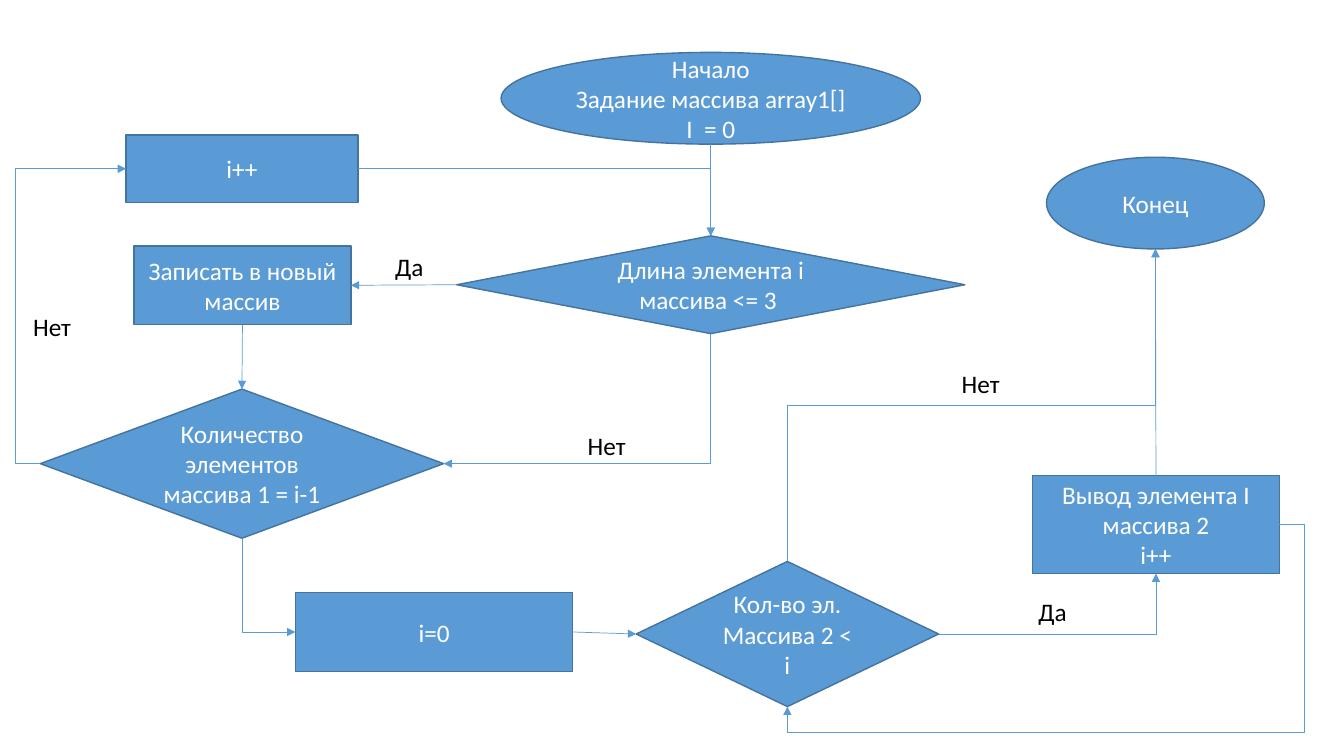
from lxml.etree import SubElement
from pptx import Presentation
from pptx.dml.color import RGBColor
from pptx.enum.shapes import MSO_CONNECTOR, MSO_SHAPE
from pptx.enum.text import MSO_ANCHOR, MSO_AUTO_SIZE, PP_ALIGN
from pptx.oxml.ns import qn
from pptx.util import Inches, Pt

BLUE, EDGE, WHITE, BLACK = "5B9BD5", "43739E", "FFFFFF", "000000"
TOP, LEFT, BOTTOM, RIGHT = range(4)
FONT = {"name": "Calibri", "size": Pt(18)}


def paint(color_format, color):
    color_format.rgb = RGBColor.from_string(color)


def write(frame, paragraphs, color, align):
    """Each paragraph is a list of lines."""
    for number, lines in enumerate(paragraphs):
        para = frame.add_paragraph() if number else frame.paragraphs[0]
        para.alignment = align
        for row, line in enumerate(lines):
            if row:
                para.add_line_break()
            span = para.add_run()
            span.text = line
            for name, value in FONT.items():
                setattr(span.font, name, value)
            paint(span.font.color, color)


def add_node(page, origin, kind, box, *paragraphs):
    left, top, width, height = box
    node = page.shapes.add_shape(kind, Inches(origin[0] + left), Inches(origin[1] + top),
                                 Inches(width), Inches(height))
    node.shadow.inherit = False
    node.fill.solid()
    paint(node.fill.fore_color, BLUE)
    paint(node.line.color, EDGE)
    node.line.width = Pt(1)
    node.text_frame.word_wrap = True
    node.text_frame.vertical_anchor = MSO_ANCHOR.MIDDLE
    write(node.text_frame, paragraphs, WHITE, PP_ALIGN.CENTER)
    return node


def add_label(page, origin, left, top, text):
    width = 0.58 if text == "Нет" else 0.49
    label = page.shapes.add_textbox(Inches(origin[0] + left), Inches(origin[1] + top),
                                    Inches(width), Inches(0.4))
    label.text_frame.word_wrap = False
    label.text_frame.auto_size = MSO_AUTO_SIZE.SHAPE_TO_FIT_TEXT
    write(label.text_frame, [[text]], BLACK, PP_ALIGN.LEFT)


def side_point(node, side):
    across, down = {TOP: (1, 0), LEFT: (0, 1), BOTTOM: (1, 2), RIGHT: (2, 1)}[side]
    return node.left + node.width * across // 2, node.top + node.height * down // 2


def bend(connector, preset, start, end, vertical, adjusts):
    """Turn and flip an elbow so that it leaves its start in the right direction."""
    dx, dy = end[0] - start[0], end[1] - start[1]
    width, height = (abs(dy), abs(dx)) if vertical else (abs(dx), abs(dy))
    flips = (dy < 0, dx > 0) if vertical else (dx < 0, dy < 0)
    connector.left = (start[0] + end[0] - width) // 2
    connector.top = (start[1] + end[1] - height) // 2
    connector.width, connector.height = width, height
    properties = connector._element.spPr
    frame = properties.find(qn("a:xfrm"))
    frame.set("rot", "5400000" if vertical else "0")
    for name, flip in zip(("flipH", "flipV"), flips):
        frame.set(name, str(int(flip)))
    geometry = properties.find(qn("a:prstGeom"))
    geometry.set("prst", preset)
    guides = geometry.find(qn("a:avLst"))
    for number, share in enumerate(adjusts, 1):
        SubElement(guides, qn("a:gd"), name=f"adj{number}", fmla=f"val {round(share * 100000)}")


def add_arrow(page, source, source_side, target, target_side, preset=None, adjusts=()):
    start, end = side_point(source, source_side), side_point(target, target_side)
    kind = MSO_CONNECTOR.ELBOW if preset else MSO_CONNECTOR.STRAIGHT
    arrow = page.shapes.add_connector(kind, *start, *end)
    # Ellipses have other connection sites, so arrows only touch them
    if source.auto_shape_type != MSO_SHAPE.OVAL:
        arrow.begin_connect(source, source_side)
    if target.auto_shape_type != MSO_SHAPE.OVAL:
        arrow.end_connect(target, target_side)
    if preset:
        bend(arrow, preset, start, end, source_side in (TOP, BOTTOM), adjusts)
    paint(arrow.line.color, BLUE)
    arrow.line.width = Pt(0.5)
    SubElement(arrow.line._get_or_add_ln(), qn("a:tailEnd"), type="triangle")
    SubElement(arrow._element.spPr, qn("a:effectLst"))


def draw_filter_loop(page, origin):
    # Steps
    begin = add_node(page, origin, MSO_SHAPE.OVAL, (4.82, 0, 4.16, 0.91),
                     ["Начало", "Задание массива array1[]"], ["I  = 0"])
    length = add_node(page, origin, MSO_SHAPE.DIAMOND, (4.38, 1.82, 5.04, 0.97),
                      ["Длина элемента i массива <= 3 "])
    store = add_node(page, origin, MSO_SHAPE.RECTANGLE, (1.18, 1.92, 2.15, 0.78),
                     ["Записать в новый массив"])
    count = add_node(page, origin, MSO_SHAPE.DIAMOND, (0.25, 3.34, 4, 1.48),
                     ["Количество элементов массива 1 = i-1"])
    step = add_node(page, origin, MSO_SHAPE.RECTANGLE, (1.1, 0.82, 2.3, 0.67), ["i++"])
    # Arrows
    add_arrow(page, begin, BOTTOM, length, TOP)
    add_arrow(page, length, LEFT, store, RIGHT)
    add_arrow(page, store, BOTTOM, count, TOP)
    add_arrow(page, length, BOTTOM, count, RIGHT, "bentConnector2")
    add_arrow(page, count, LEFT, step, LEFT, "bentConnector3", [-0.29])
    add_arrow(page, step, RIGHT, length, TOP, "bentConnector2")
    # Answers
    for left, top, text in ((0.08, 2.52, "Нет"), (3.67, 1.92, "Да"), (5.58, 3.7, "Нет")):
        add_label(page, origin, left, top, text)
    return count


def draw_output_loop(page, origin, previous):
    # Steps
    reset = add_node(page, origin, MSO_SHAPE.RECTANGLE, (0, 4.32, 2.75, 0.78), ["i=0"])
    count = add_node(page, origin, MSO_SHAPE.DIAMOND, (3.38, 4.01, 3, 1.44),
                     ["Кол-во эл. Массива 2 < i"])
    output = add_node(page, origin, MSO_SHAPE.RECTANGLE, (7.31, 3.16, 2.45, 0.97),
                      ["Вывод элемента I массива 2", "i++"])
    finish = add_node(page, origin, MSO_SHAPE.OVAL, (7.45, 0, 2.16, 0.91), ["Конец"])
    # Arrows
    add_arrow(page, previous, BOTTOM, reset, LEFT, "bentConnector2")
    add_arrow(page, reset, RIGHT, count, LEFT)
    add_arrow(page, count, RIGHT, output, BOTTOM, "bentConnector2")
    add_arrow(page, output, RIGHT, count, BOTTOM, "bentConnector4", [-0.05, 1.14])
    add_arrow(page, count, TOP, finish, BOTTOM, "bentConnector3", [0.5])
    add_arrow(page, output, TOP, finish, BOTTOM)
    # Answers
    for left, top, text in ((6.51, 2.04, "Нет"), (7.27, 4.31, "Да")):
        add_label(page, origin, left, top, text)


def main():
    deck = Presentation()
    deck.slide_width, deck.slide_height = Inches(13.33), Inches(7.5)
    page = deck.slides.add_slide(deck.slide_layouts[6])
    last_check = draw_filter_loop(page, (0.15, 0.52))
    draw_output_loop(page, (2.93, 1.56), last_check)
    deck.save("out.pptx")


if __name__ == "__main__":
    main()
